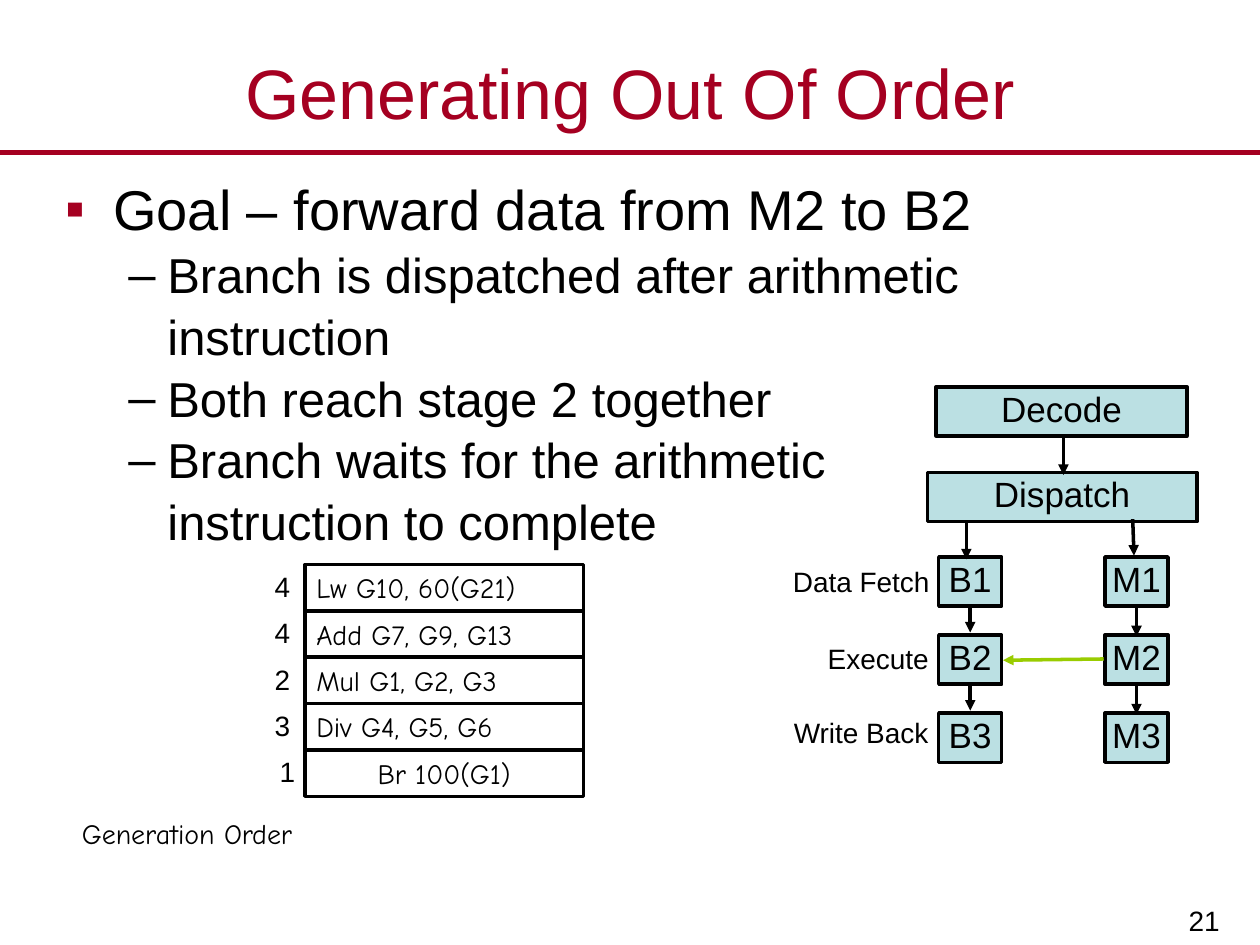
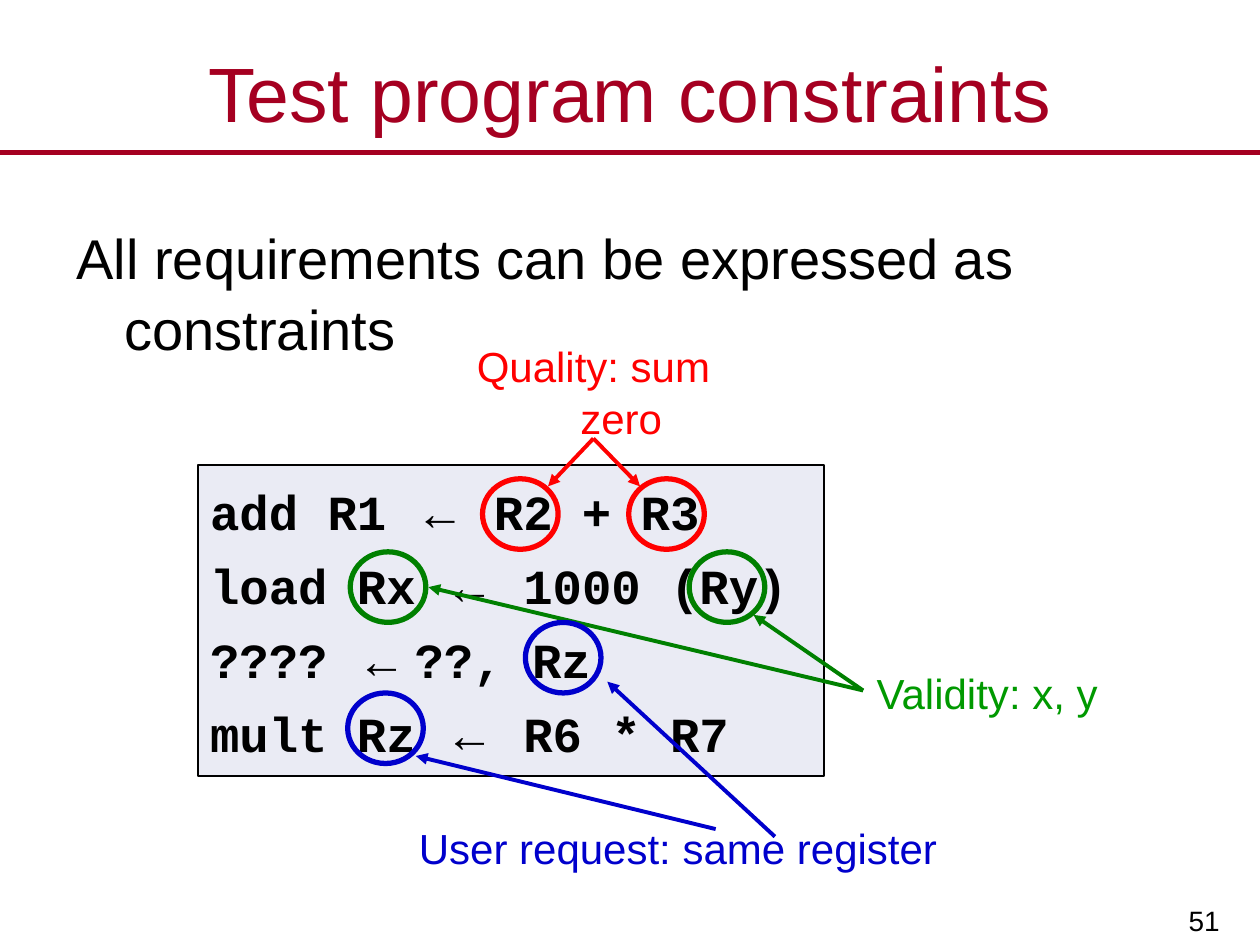
from lxml import etree
from pptx import Presentation
from pptx.dml.color import RGBColor
from pptx.enum.shapes import MSO_CONNECTOR, MSO_SHAPE
from pptx.enum.text import MSO_ANCHOR, PP_ALIGN
from pptx.oxml.ns import qn
from pptx.util import Inches, Pt

LINE = MSO_CONNECTOR.STRAIGHT
RECT, PROCESS, ELLIPSE = MSO_SHAPE.RECTANGLE, MSO_SHAPE.FLOWCHART_PROCESS, MSO_SHAPE.OVAL
LEFT, CENTER, RIGHT = PP_ALIGN.LEFT, PP_ALIGN.CENTER, PP_ALIGN.RIGHT
TOP, MIDDLE, BOTTOM = MSO_ANCHOR.TOP, MSO_ANCHOR.MIDDLE, MSO_ANCHOR.BOTTOM

BLACK, CRIMSON, STAGE_BLUE, CODE_FILL = "000000", "A50021", "BBE0E3", "EAEBF4"
LIME, RED, GREEN, BLUE = "99CC00", "FF0000", "008000", "0000CC"
SANS, COMIC, MONO = "Arial", "Comic Neue", "Courier New"
PADDING = (0.1, 0.05)
LOOSE, TIGHT = 1.05, 0.85
HANGING = 0.44


def rgb(value):
    return RGBColor.from_string(value)


class Deck:
    """Holds the shared style and the slide being drawn."""

    def __init__(self):
        self.prs = Presentation()
        self.prs.slide_width, self.prs.slide_height = Inches(10), Inches(7.5)
        self.slide = None

    def new_slide(self, title, number, title_size):
        self.slide = self.prs.slides.add_slide(self.prs.slide_layouts[6])
        self.line((0, 1.21), (10, 1.21), CRIMSON, 3, arrow=False)
        self.text(number, (7.8, 6.93, 1.99, 0.57), 16, align=RIGHT,
                  anchor=BOTTOM, padding=(0.11, 0.06))
        self.text(title, (0, 0.3, 10, 0.86), title_size, CRIMSON,
                  align=CENTER, anchor=MIDDLE)

    def frame(self, shape, anchor=TOP, padding=PADDING, wrap=True):
        frame = shape.text_frame
        frame.word_wrap, frame.vertical_anchor = wrap, anchor
        frame.margin_left = frame.margin_right = Inches(padding[0])
        frame.margin_top = frame.margin_bottom = Inches(padding[1])
        return frame

    def style(self, paragraph, size, color=BLACK, font=SANS, align=LEFT,
              spacing=None, after=0, bold=False):
        paragraph.font.size, paragraph.font.name = Pt(size), font
        paragraph.font.color.rgb = rgb(color)
        paragraph.font.bold = bold
        paragraph.alignment = align
        paragraph.space_after = Pt(after)
        if spacing:
            paragraph.line_spacing = spacing

    def indent(self, paragraph, margin, hang, bullet=None, color=BLACK):
        props = paragraph._p.get_or_add_pPr()
        props.set("marL", str(Inches(margin)))
        props.set("indent", str(-Inches(hang)))
        if bullet:
            fill = etree.SubElement(props, qn("a:buClr"))
            etree.SubElement(fill, qn("a:srgbClr"), val=color)
            etree.SubElement(props, qn("a:buFont"), typeface=SANS)
            etree.SubElement(props, qn("a:buChar"), char=bullet)

    def text_box(self, box, **layout):
        shape = self.slide.shapes.add_textbox(*map(Inches, box))
        return self.frame(shape, **layout)

    def text(self, words, box, size, color=BLACK, anchor=TOP, padding=PADDING,
             wrap=True, hang=0, **style):
        frame = self.text_box(box, anchor=anchor, padding=padding, wrap=wrap)
        paragraph = frame.paragraphs[0]
        paragraph.text = words
        self.style(paragraph, size, color, **style)
        if hang:
            self.indent(paragraph, hang, hang)

    def shape(self, kind, box, line=BLACK, width=2, fill=None):
        shape = self.slide.shapes.add_shape(kind, *map(Inches, box))
        shape.shadow.inherit = False
        shape.line.color.rgb, shape.line.width = rgb(line), Pt(width)
        if fill:
            shape.fill.solid()
            shape.fill.fore_color.rgb = rgb(fill)
        else:
            shape.fill.background()
        return shape

    def stage(self, name, box):
        frame = self.frame(self.shape(PROCESS, box, fill=STAGE_BLUE),
                           anchor=MIDDLE, wrap=False)
        frame.text = name
        self.style(frame.paragraphs[0], 20, align=CENTER, spacing=TIGHT)

    def line(self, start, end, color=BLACK, width=2, arrow=True):
        line = self.slide.shapes.add_connector(LINE, *map(Inches, start + end))
        line.line.color.rgb, line.line.width = rgb(color), Pt(width)
        if arrow:
            etree.SubElement(line.line._get_or_add_ln(), qn("a:tailEnd"), type="triangle")
        etree.SubElement(line._element.spPr, qn("a:effectLst"))


def out_of_order_slide(deck):
    deck.new_slide("Generating Out Of Order", "21", 40)

    # Goal and its steps
    body = deck.text_box((0.42, 1.31, 8.88, 5.19))
    goal = body.paragraphs[0]
    goal.text = "Goal – forward data from M2 to B2"
    deck.style(goal, 32, spacing=LOOSE)
    deck.indent(goal, 0.38, 0.38, "▪", CRIMSON)
    for words in ("Branch is dispatched after arithmetic instruction",
                  "Both reach stage 2 together",
                  "Branch waits for the arithmetic \vinstruction to complete"):
        step = body.add_paragraph()
        step.text = words
        deck.style(step, 28, spacing=LOOSE)
        deck.indent(step, 0.81, 0.31, "–")

    # Pipeline stages
    stage_w, stage_h, stage_top, stage_pitch = 0.5, 0.39, 4.42, 0.62
    deck.stage("Decode", (7.43, 3.07, 1.99, stage_h))
    deck.stage("Dispatch", (7.36, 3.75, 2.14, stage_h))
    for pipe, left in (("B", 7.45), ("M", 8.77)):
        for i in range(3):
            top = stage_top + i * stage_pitch
            deck.stage(f"{pipe}{i + 1}", (left, top, stage_w, stage_h))

    # Flow between stages
    deck.line((8.44, 3.46), (8.44, 3.77))
    deck.line((7.67, 4.13), (7.67, 4.44))
    deck.line((8.99, 4.12), (9, 4.41))
    for center, length in ((7.7, 0.21), (9.02, 0.24)):
        for i in range(2):
            start = stage_top + stage_h + i * stage_pitch
            deck.line((center, start), (center, start + length))
    deck.line((8.76, 5.23), (7.96, 5.24), LIME)

    # Stage captions
    for caption, left, top, width in (("Data Fetch", 6.19, 4.47, 1.29),
                                      ("Execute", 6.47, 5.08, 1),
                                      ("Write Back", 6.2, 5.67, 1.27)):
        deck.text(caption, (left, top, width, 0.33), 16, wrap=False,
                  align=CENTER, spacing=TIGHT)

    # Instructions with their generation order
    narrow, row_top, row_h = (0.09, 0.04), 4.48, 0.368
    rows = (("4", "Lw G10, 60(G21)"), ("4", "Add G7, G9, G13"), ("2", "Mul G1, G2, G3"),
            ("3", "Div G4, G5, G6"), ("1", "Br 100(G1)"))
    for i, (order, instruction) in enumerate(rows):
        top = row_top + i * row_h
        is_branch = instruction.startswith("Br")
        cell = deck.frame(deck.shape(RECT, (2.42, top, 2.21, row_h)),
                          anchor=MIDDLE, padding=narrow)
        cell.text = instruction
        deck.style(cell.paragraphs[0], 16, font=COMIC, align=CENTER if is_branch else LEFT)
        deck.text(order, (2.13 if is_branch else 2.09, top, 0.3, 0.36), 16,
                  padding=narrow, wrap=False, align=RIGHT)
    deck.text("Generation Order", (0.56, 6.44, 1.86, 0.36), 16, font=COMIC,
              padding=narrow, wrap=False)


def constraints_slide(deck):
    deck.new_slide("Test program constraints", "51", 44)
    deck.text("All requirements can be expressed as constraints",
              (0.51, 1.7, 9, 5.14), 32, hang=0.38, spacing=LOOSE)

    # Program listing: target, gap after the arrow, source
    listing = deck.frame(deck.shape(RECT, (1.57, 3.69, 4.97, 2.47), width=1, fill=CODE_FILL),
                         anchor=MIDDLE)
    program = (("add R1 ", "", " R2 + R3"), ("load Rx ", "", " 1000 (Ry)"),
               ("???? ", " ", "??, Rz"), ("mult Rz ", "", " R6 * R7"))
    for i, (target, gap, source) in enumerate(program):
        row = listing.add_paragraph() if i else listing.paragraphs[0]
        deck.style(row, 28, font=MONO, spacing=LOOSE, after=7, bold=True)
        deck.indent(row, HANGING, HANGING)
        for words, font, size in ((target, MONO, 28), ("←", SANS, 28),
                                  (gap, SANS, 18), (source, MONO, 28)):
            if words:
                run = row.add_run()
                run.text, run.font.name, run.font.size = words, font, Pt(size)

    # Constraints: circled registers and arrows from each note
    for color, circles, arrows in (
            (RED, ((3.83, 3.8), (4.99, 3.8)),
             (((4.71, 3.48), (4.35, 3.86)), ((4.71, 3.48), (5.08, 3.86)))),
            (GREEN, ((5.47, 4.38), (2.78, 4.38)),
             (((6.85, 5.48), (5.98, 4.88)), ((6.85, 5.48), (3.4, 4.66)))),
            (BLUE, ((2.76, 5.5), (4.17, 4.94)),
             (((6.15, 6.64), (4.82, 5.41)), ((5.68, 6.58), (3.3, 6))))):
        for corner in circles:
            deck.shape(ELLIPSE, corner + (0.6, 0.56), color, 3)
        for start, end in arrows:
            deck.line(start, end, color, 2.25)

    # Constraint notes
    for note, box, color, padding in (
            ("Quality: sum zero", (3.32, 2.68, 2.78, 0.8), RED, (0.1, 0)),
            ("Validity: x, y", (6.41, 5.23, 2.85, 0.5), "009900", PADDING),
            ("User request: same register", (3.22, 6.51, 4.32, 0.4), BLUE, (0.1, 0))):
        deck.text(note, box, 24, color, padding=padding, hang=HANGING,
                  align=CENTER, spacing=LOOSE, after=6)


def main():
    deck = Deck()
    out_of_order_slide(deck)
    constraints_slide(deck)
    deck.prs.save("out.pptx")


if __name__ == "__main__":
    main()
